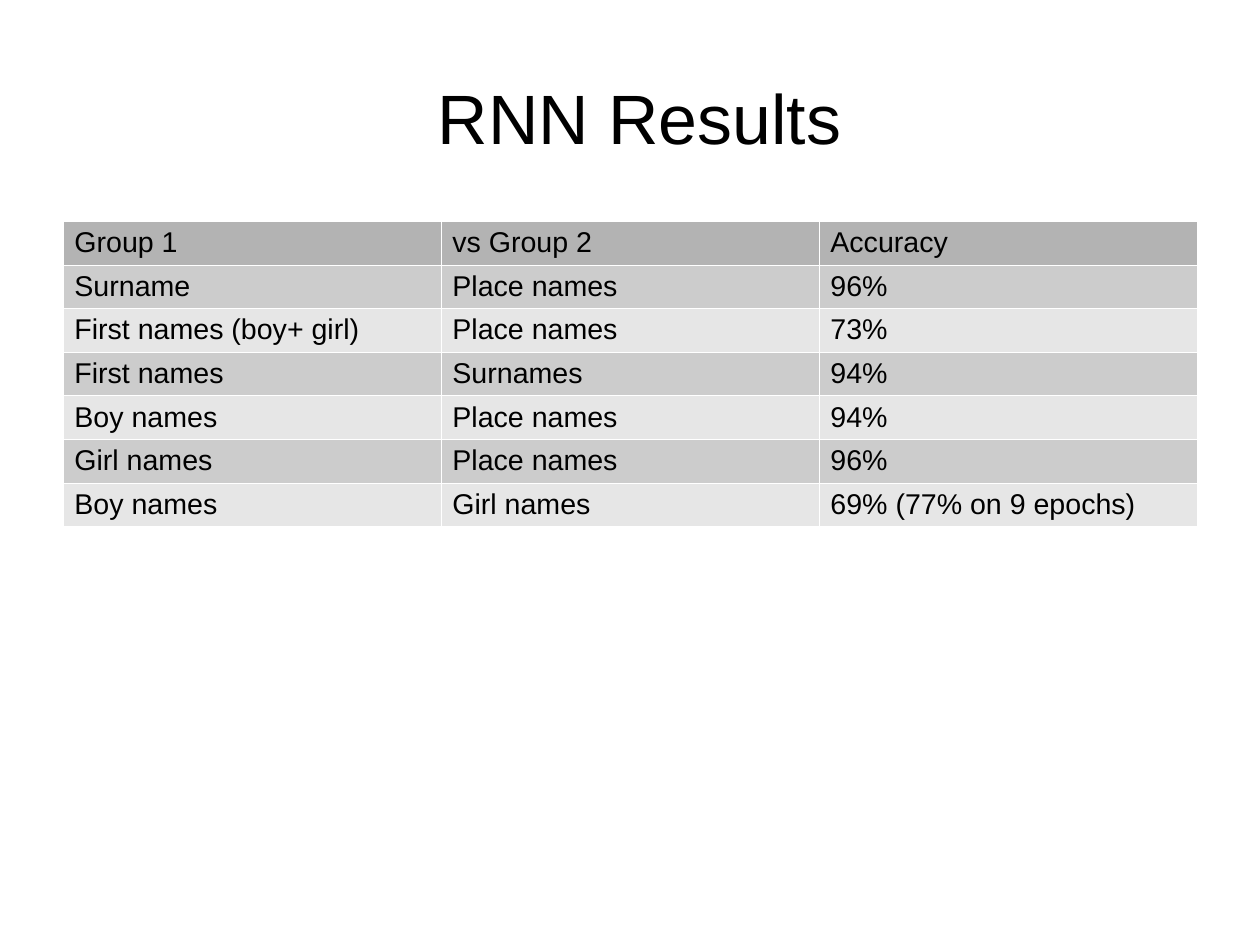
import pptx
import pptx.dml.color
import pptx.enum.text
import pptx.oxml.ns
import pptx.util
from lxml import etree

Cm, Pt = pptx.util.Cm, pptx.util.Pt
RGBColor = pptx.dml.color.RGBColor

BLACK = RGBColor(0x00, 0x00, 0x00)
WHITE = RGBColor(0xFF, 0xFF, 0xFF)
HEAD = RGBColor(0xB3, 0xB3, 0xB3)
BANDS = (RGBColor(0xCC, 0xCC, 0xCC), RGBColor(0xE6, 0xE6, 0xE6))

LEFT, WIDTH = Cm(1.4), Cm(25.2)
ROW = Cm(0.97)

RESULTS = [
    ("Group 1", "vs Group 2", "Accuracy"),
    ("Surname", "Place names", "96%"),
    ("First names (boy+ girl)", "Place names", "73%"),
    ("First names", "Surnames", "94%"),
    ("Boy names", "Place names", "94%"),
    ("Girl names", "Place names", "96%"),
    ("Boy names", "Girl names", "69% (77% on 9 epochs)"),
]


class Deck:
    """Holds the text style and the current slide."""

    def __init__(self, slide, font="Arial", color=BLACK):
        self.slide = slide
        self.font = font
        self.color = color

    def style(self, frame, size):
        for para in frame.paragraphs:
            for run in para.runs:
                run.font.name = self.font
                run.font.size = Pt(size)
                run.font.bold = False
                run.font.color.rgb = self.color

    def title(self, text, top, height, size):
        shape = self.slide.shapes.title
        shape.left, shape.top = LEFT, top
        shape.width, shape.height = WIDTH, height
        frame = shape.text_frame
        frame.text = text
        frame.margin_left = frame.margin_right = 0
        frame.margin_top = frame.margin_bottom = 0
        frame.vertical_anchor = pptx.enum.text.MSO_ANCHOR.MIDDLE
        frame.paragraphs[0].alignment = pptx.enum.text.PP_ALIGN.CENTER
        self.style(frame, size)

    def border(self, cell, color, width):
        props = cell._tc.get_or_add_tcPr()
        for side in ("a:lnL", "a:lnR", "a:lnT", "a:lnB"):
            line = etree.SubElement(props, pptx.oxml.ns.qn(side), w=str(Pt(width)))
            fill = etree.SubElement(line, pptx.oxml.ns.qn("a:solidFill"))
            etree.SubElement(fill, pptx.oxml.ns.qn("a:srgbClr"), val=str(color))

    def table(self, rows, top, size):
        frame = self.slide.shapes.add_table(
            len(rows), len(rows[0]), LEFT, top, WIDTH, ROW * len(rows))
        grid = frame.table
        for i, row in enumerate(rows):
            grid.rows[i].height = ROW
            shade = BANDS[(i - 1) % 2] if i else HEAD
            for j, text in enumerate(row):
                cell = grid.cell(i, j)
                cell.text_frame.text = text
                self.style(cell.text_frame, size)
                self.border(cell, WHITE, 0.06)
                cell.fill.solid()
                cell.fill.fore_color.rgb = shade


def main():
    prs = pptx.Presentation()
    prs.slide_width, prs.slide_height = Cm(28), Cm(21)
    deck = Deck(prs.slides.add_slide(prs.slide_layouts[5]))

    # Heading
    deck.title(" RNN Results", Cm(0.84), Cm(3.51), 44)

    # Accuracy for each pair of groups
    deck.table(RESULTS, Cm(4.91), 18)

    prs.save("out.pptx")


if __name__ == "__main__":
    main()
